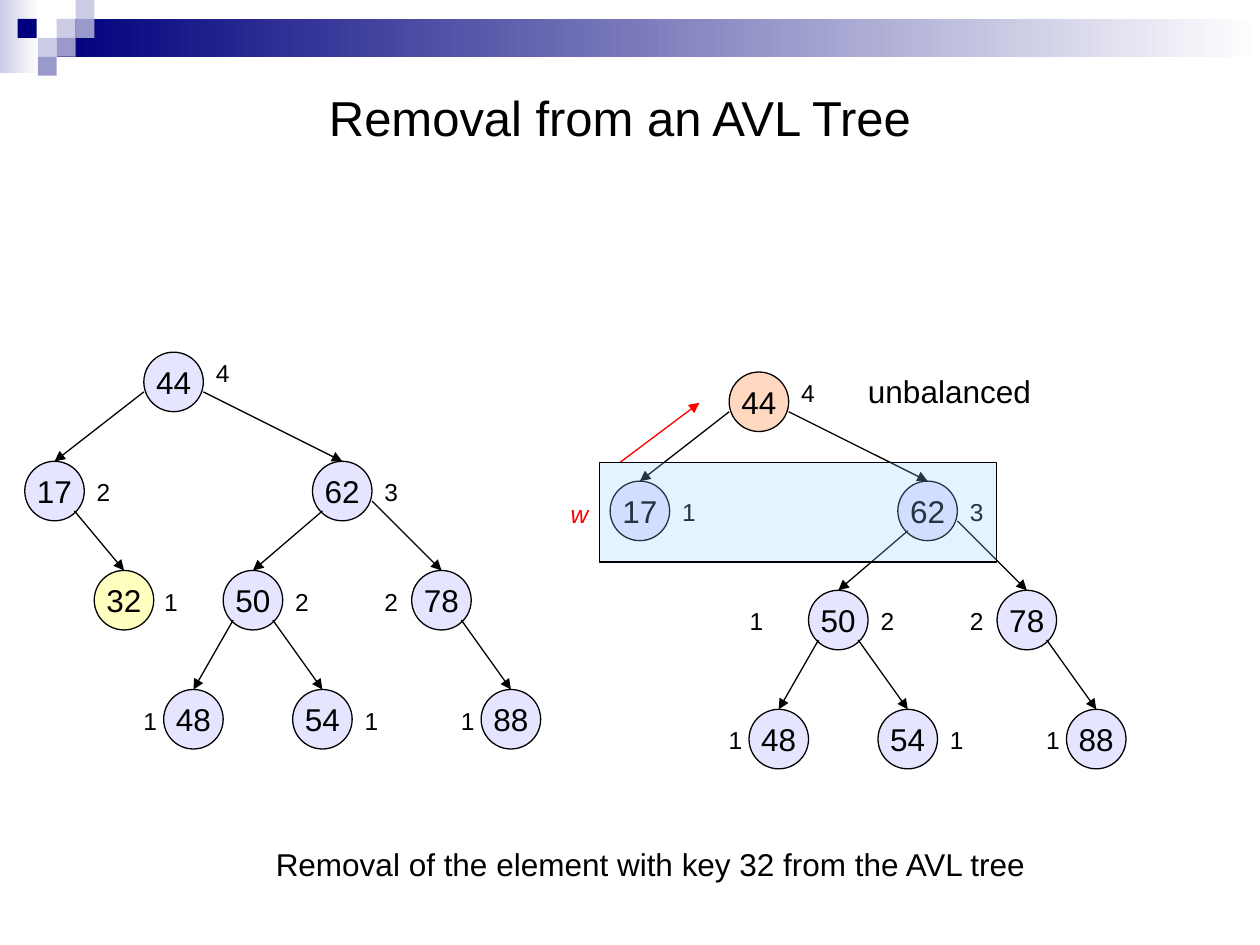
from lxml.etree import SubElement
from pptx import Presentation
from pptx.dml.color import RGBColor
from pptx.enum.shapes import MSO_CONNECTOR, MSO_SHAPE
from pptx.enum.text import MSO_ANCHOR, MSO_AUTO_SIZE, PP_ALIGN
from pptx.oxml.ns import qn
from pptx.util import Inches, Pt

color = RGBColor.from_string

presentation = Presentation()
presentation.slide_width, presentation.slide_height = Inches(10), Inches(7.5)
slide = presentation.slides.add_slide(presentation.slide_layouts[5])
shapes = slide.shapes
UNIT = presentation.slide_width / 127  # one column or row of the tree grid
NODE = 6  # node diameter in grid units

BLACK, RED = "000000", "FF0000"
NODE_FRAME = {"word_wrap": False, "vertical_anchor": MSO_ANCHOR.MIDDLE}
LABEL_FRAME = {"word_wrap": False, "auto_size": MSO_AUTO_SIZE.SHAPE_TO_FIT_TEXT}
TITLE_FRAME = {"word_wrap": True, "vertical_anchor": MSO_ANCHOR.MIDDLE,
               "auto_size": MSO_AUTO_SIZE.NONE,
               "margin_top": Inches(0.17), "margin_right": Inches(0.26)}


def write(shape, text, size, frame_format, alignment=PP_ALIGN.LEFT, text_color=BLACK, italic=False):
    frame = shape.text_frame
    for name, value in frame_format.items():
        setattr(frame, name, value)
    paragraph = frame.paragraphs[0]
    paragraph.alignment = alignment
    run = paragraph.add_run()
    run.text = text
    for name, value in {"name": "Arial", "size": Pt(size), "italic": italic}.items():
        setattr(run.font, name, value)
    run.font.color.rgb = color(text_color)


def add_arrow(start, end, line_color=BLACK):
    """Draw an arrow between two points given in slide units."""
    arrow = shapes.add_connector(MSO_CONNECTOR.STRAIGHT, *map(round, start + end))
    arrow.line.color.rgb = color(line_color)
    arrow.line.width = Pt(0.75)
    SubElement(arrow.line._get_or_add_ln(), qn("a:tailEnd"), type="triangle")
    SubElement(arrow._element.spPr, qn("a:effectLst"))
    return arrow


# Header band and squares: left, top, width, height, colour, gradient or not
NAVY, LILAC, VIOLET = "00007D", "CCCCE6", "9999CC"
header = [
    (0, 0, 0.31, 0.58, LILAC, True),
    (0.45, 0.15, 9.55, 0.3, NAVY, True),
]
squares = [(0.45, 0.15, LILAC), (0.6, 0, LILAC), (0.6, 0.15, VIOLET), (0.3, 0.3, LILAC),
           (0.14, 0.15, NAVY), (0.45, 0.3, VIOLET), (0.3, 0.45, VIOLET)]
header += [(left, top, 0.15, 0.15, fill, False) for left, top, fill in squares]
for *box, fill_color, is_gradient in header:
    block = shapes.add_shape(MSO_SHAPE.RECTANGLE, *map(Inches, box))
    block.shadow.inherit = False
    block.line.fill.background()
    if is_gradient:
        block.fill.gradient()
        block.fill.gradient_angle = 180
        for stop, stop_color in zip(block.fill.gradient_stops, ("FFFFFF", fill_color)):
            stop.color.rgb = color(stop_color)
    else:
        block.fill.solid()
        block.fill.fore_color.rgb = color(fill_color)

title = shapes.title
title.left, title.top, title.width, title.height = map(Inches, (0.5, 0.5, 9, 0.73))
write(title, "Removal from an AVL Tree", 28, TITLE_FRAME, PP_ALIGN.CENTER)

# Key: column and row from the root, then column and row of the height label from the node
nodes = {
    44: (0, 0, 6, 0), 17: (-12, 11, 6, 1), 62: (17, 11, 6, 1),
    78: (27, 22, -4, 1), 50: (8, 22, 6, 1), 32: (-5, 22, 5.8, 1),
    48: (2, 34, -3.3, 1), 54: (15, 34, 6, 1), 88: (34, 34, -3.3, 1),
}
# Parent, child, and where the arrow leaves the parent
edges = [(44, 17, 0, 4), (44, 62, 6, 4), (17, 32, 5, 5), (62, 50, 1, 5),
         (62, 78, 6, 4), (50, 48, 1, 5), (50, 54, 5, 5), (78, 88, 5, 5)]
heights = {44: 4, 17: 2, 62: 3, 78: 2, 50: 2, 32: 1, 48: 1, 54: 1, 88: 1}
# Root column and row, highlighted nodes, heights, removed key
trees = [
    (14.5, 35.5, {32: "FFFF00"}, heights, None),
    (73.5, 37.5, {44: "FF6600"}, {**heights, 17: 1}, 32),
]

translucent = []
for root_column, root_row, highlights, tree_heights, removed in trees:
    circles = {}
    for key, (column, row, label_column, label_row) in nodes.items():
        left, top = (root_column + column) * UNIT, (root_row + row) * UNIT
        label = shapes.add_textbox(round(left + label_column * UNIT), round(top + label_row * UNIT),
                                   Inches(0.31), Inches(0.34))
        write(label, str(tree_heights[key]), 14, LABEL_FRAME)
        if key == removed:
            continue
        circle = shapes.add_shape(MSO_SHAPE.OVAL, round(left), round(top),
                                  round(NODE * UNIT), round(NODE * UNIT))
        write(circle, str(key), 18, NODE_FRAME, PP_ALIGN.CENTER)
        circles[key] = circle
        translucent.append((circle, highlights.get(key, "9999FF")))
    for parent, child, column, row in edges:
        if child == removed:
            continue
        start = (circles[parent].left + column * UNIT, circles[parent].top + row * UNIT)
        arrow = add_arrow(start, (circles[child].left + NODE / 2 * UNIT, circles[child].top))
        arrow.end_connect(circles[child], 0)

add_arrow((62.5 * UNIT, 46.6 * UNIT), (70.5 * UNIT, 40.6 * UNIT), RED)

notes = [
    ("Removal of the element with key 32 from the AVL tree", 18, (2.09, 6.66, 6.19, 0.4), BLACK, False),
    ("w", 14, (4.43, 3.91, 0.34, 0.34), RED, True),
    ("unbalanced", 18, (6.79, 2.9, 1.49, 0.4), BLACK, False),
]
for text, size, box, text_color, italic in notes:
    note = shapes.add_textbox(*map(Inches, box))
    write(note, text, size, LABEL_FRAME, text_color=text_color, italic=italic)

level_box = shapes.add_shape(MSO_SHAPE.RECTANGLE, *map(Inches, (4.76, 3.67, 3.15, 0.79)))
translucent.append((level_box, "99CCFF"))

for shape, fill_color in translucent:
    shape.shadow.inherit = False
    shape.fill.solid()
    shape.fill.fore_color.rgb = color(fill_color)
    fill = shape._element.spPr.find(qn("a:solidFill"))
    SubElement(fill[0], qn("a:alpha"), val="25000")
    shape.line.color.rgb = color(BLACK)
    shape.line.width = Pt(0.75)

presentation.save("out.pptx")
